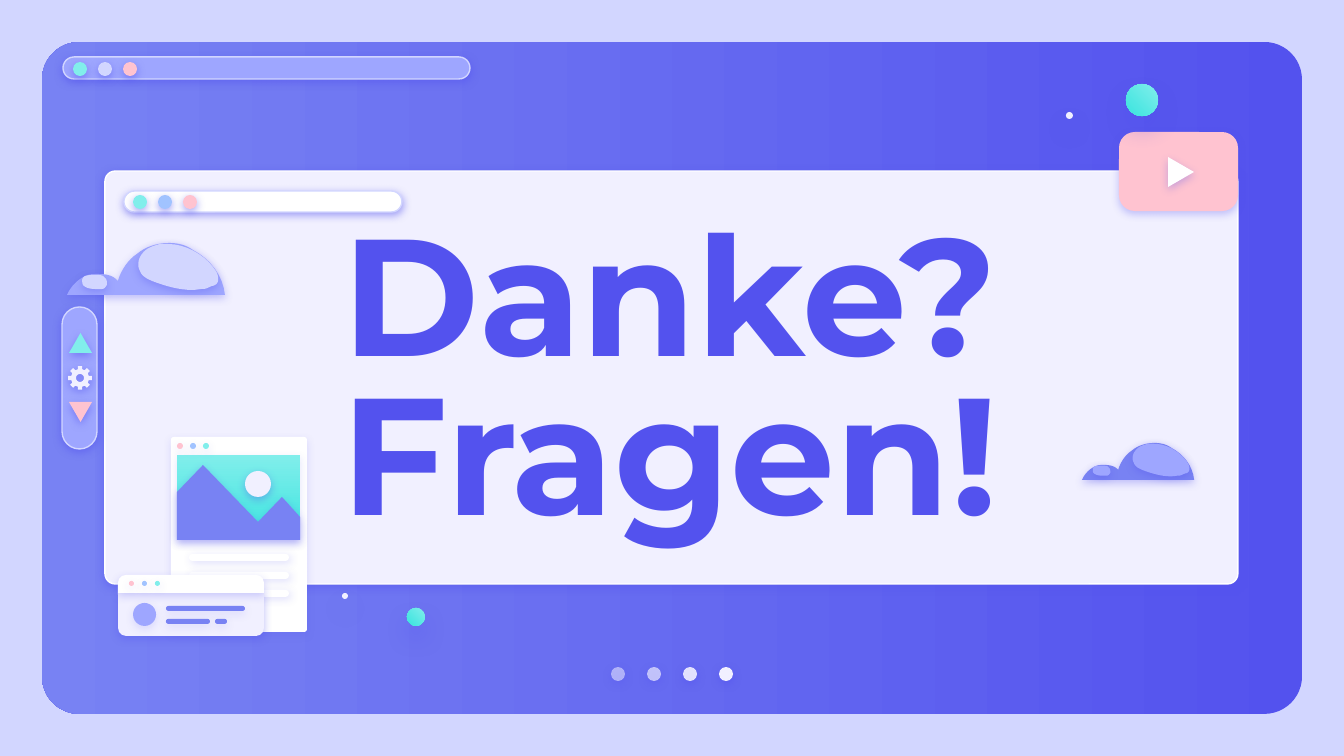
from math import cos, radians, sin

from lxml import etree
from pptx import Presentation
from pptx import util as u
from pptx.dml.color import RGBColor
from pptx.enum import shapes, text
from pptx.oxml.ns import qn

PX = u.Inches(10) / 1344
INDIGO = RGBColor(0x53, 0x52, 0xEE)
VIOLET = RGBColor(0x78, 0x82, 0xF3)
LAVENDER = RGBColor(0x9E, 0xA6, 0xFF)
MIST = RGBColor(0xD2, 0xD6, 0xFF)
PALE = RGBColor(0xF1, 0xF0, 0xFF)
WHITE = RGBColor(0xFF, 0xFF, 0xFF)
MINT = RGBColor(0x81, 0xEE, 0xEB)
TEAL = RGBColor(0x3A, 0xE4, 0xDF)
PINK = RGBColor(0xFF, 0xC3, 0xD0)
SKY = RGBColor(0xA1, 0xC3, 0xFF)

ROUND = shapes.MSO_SHAPE.ROUNDED_RECTANGLE
TOP_ROUND = shapes.MSO_SHAPE.ROUND_2_SAME_RECTANGLE
RECT = shapes.MSO_SHAPE.RECTANGLE
OVAL = shapes.MSO_SHAPE.OVAL
TRIANGLE = shapes.MSO_SHAPE.ISOSCELES_TRIANGLE

prs = Presentation()
prs.slide_width, prs.slide_height = round(1344 * PX), round(756 * PX)
slide = prs.slides.add_slide(prs.slide_layouts[6])
slide.background.fill.solid()
slide.background.fill.fore_color.rgb = MIST


def finish(shape, fill, shade=50, line=None, opacity=100, blur=4.5, drop=1.5, aim=90):
    """Fill is one colour, or (start, end, counterclockwise angle)."""
    if isinstance(fill, RGBColor):
        shape.fill.solid()
        shape.fill.fore_color.rgb = fill
    else:
        shape.fill.gradient()
        shape.fill.gradient_angle = fill[2]
        for stop, colour in zip(shape.fill.gradient_stops, fill):
            stop.color.rgb = colour
    properties = shape._element.spPr
    if opacity < 100:
        colour = properties.find(qn("a:solidFill")).find(qn("a:srgbClr"))
        etree.SubElement(colour, qn("a:alpha"), val=str(opacity * 1000))
    if line is None:
        shape.line.fill.background()
    else:
        shape.line.color.rgb = line
        shape.line.width = u.Pt(0.75)
    shape.shadow.inherit = False
    if shade:
        shadow = etree.SubElement(
            properties.find(qn("a:effectLst")), qn("a:outerShdw"),
            blurRad=str(u.Pt(blur)), dist=str(u.Pt(drop)),
            dir=str(aim * 60000), algn="bl", rotWithShape="0")
        colour = etree.SubElement(shadow, qn("a:srgbClr"), val=str(INDIGO))
        etree.SubElement(colour, qn("a:alpha"), val=str(shade * 1000))


def place(kind, left, top, width, height, fill, corner=None, turn=0, **look):
    shape = slide.shapes.add_shape(
        kind, *(round(v * PX) for v in (left, top, width, height)))
    if corner is not None:
        shape.adjustments[0] = corner
    shape.rotation = turn
    finish(shape, fill, **look)


# Backdrop, address bar and main window
place(ROUND, 42, 42, 1260, 672, (INDIGO, VIOLET, 180), corner=0.056, shade=0)
place(ROUND, 63, 57, 407, 22, LAVENDER, corner=0.5, line=MIST)
place(ROUND, 105, 171, 1133, 413, PALE, corner=0.025, line=WHITE)

# Page indicator
for page, opacity in enumerate((54, 67, 90, 100)):
    place(OVAL, 611 + 36 * page, 667, 14, 14, PALE, opacity=opacity)

# Title
title = slide.shapes.add_textbox(*(round(v * PX) for v in (220, 202, 900, 372)))
frame_format = {"word_wrap": True, "vertical_anchor": text.MSO_ANCHOR.MIDDLE}
frame_format.update({f"margin_{side}": u.Inches(0.1)
                     for side in ("left", "right", "top", "bottom")})
for name, value in frame_format.items():
    setattr(title.text_frame, name, value)
heading = title.text_frame.paragraphs[0]
heading.text = "Danke?\vFragen!"
heading.alignment = text.PP_ALIGN.CENTER
heading.line_spacing = 0.8
for run in heading.runs:
    for name, value in {"name": "Montserrat", "size": u.Pt(89), "bold": True}.items():
        setattr(run.font, name, value)
    run.font.color.rgb = INDIGO

# Clouds: each outline is a start point, then three Bezier points per curve
cloud_body = [
    (102, 0), (90, 0), (78, 4), (70, 11), (62, 16), (54, 27), (51, 38),
    (46, 32), (38, 31), (31, 31), (28, 31), (24, 31), (21, 32),
    (12, 35), (4, 43), (0, 52), (0, 52), (158, 52), (158, 52),
    (156, 32), (143, 16), (126, 7), (119, 2), (111, 0), (102, 0)]
cloud_shine = [
    (101, 1), (98, 1), (95, 1), (93, 1), (86, 3), (79, 5), (75, 11),
    (71, 16), (70, 23), (73, 28), (75, 34), (81, 36), (85, 38),
    (98, 43), (112, 47), (125, 47), (129, 47), (133, 46), (136, 46),
    (140, 46), (142, 44), (145, 43), (148, 43), (151, 40), (151, 38),
    (152, 32), (149, 28), (146, 24), (136, 11), (118, 1), (101, 1)]
cloud_spot = [
    (28, 32), (24, 32), (17, 32), (16, 35), (15, 36), (15, 39), (16, 42),
    (17, 43), (20, 46), (28, 46), (31, 46), (33, 46), (35, 46),
    (38, 46), (39, 43), (40, 42), (40, 39), (40, 36), (38, 35),
    (36, 32), (34, 32), (28, 32)]
for left, top, size, base, shine in ((67, 243, 1, LAVENDER, MIST),
                                     (1082, 443, 0.71, VIOLET, LAVENDER)):
    for outline, colour in ((cloud_body, base), (cloud_shine, shine), (cloud_spot, shine)):
        points = []
        for i in range(0, len(outline) - 1, 3):
            for t in (step / 8 for step in range(9)):
                weights = ((1 - t) ** 3, 3 * t * (1 - t) ** 2, 3 * t * t * (1 - t), t ** 3)
                x, y = (sum(w * p[axis] for w, p in zip(weights, outline[i:i + 4]))
                        for axis in (0, 1))
                points.append(((left + size * x) * PX, (top + size * y) * PX))
        builder = slide.shapes.build_freeform(*points[0])
        builder.add_line_segments(points[1:])
        finish(builder.convert_to_shape(), colour, shade=31)

# Play button
place(ROUND, 1119, 132, 119, 79, PINK, corner=0.2, shade=31)
place(TRIANGLE, 1166, 159, 30, 26, WHITE, turn=90, shade=31)

# Floating dots
for left, top, size, colour in ((1126, 84, 32, (MINT, TEAL, 225)), (1066, 112, 7, PALE),
                                (407, 608, 18, (MINT, TEAL, 225)), (342, 593, 6, PALE)):
    place(OVAL, left, top, size, size, colour, shade=38, blur=12.4, drop=6.8)

# Picture page with text lines
place(ROUND, 171, 437, 136, 195, WHITE, corner=0.02, shade=14)
for line in range(3):
    place(ROUND, 189, 554 + 18 * line, 100, 7, WHITE, corner=0.5, shade=18, aim=39)
place(RECT, 177, 455, 123, 85, (MINT, TEAL, 270), shade=14)
ridge = [(203, 465), (177, 492), (177, 540), (300, 540), (300, 517), (282, 497), (258, 522)]
mountains = slide.shapes.build_freeform(*ridge[0], scale=PX)
mountains.add_line_segments(ridge[1:])
finish(mountains.convert_to_shape(), VIOLET, shade=34)
place(OVAL, 245, 471, 26, 26, PALE, shade=34)

# Message window
place(TOP_ROUND, 118, 593, 146, 43, PALE, corner=0.19, turn=180, shade=34)
place(TOP_ROUND, 118, 575, 146, 18, WHITE, corner=0.43, shade=24)
place(OVAL, 133, 603, 23, 23, LAVENDER, shade=14)
for left, top, width in ((166, 606, 79), (166, 619, 44), (215, 619, 12)):
    place(ROUND, left, top, width, 5, VIOLET, corner=0.5, shade=14)

# Title bar of the main window
place(ROUND, 124, 191, 278, 21, WHITE, corner=0.5, line=MIST)

# Three buttons on every window
for left, top, size, step, shade, colours in (
        (73, 62, 14, 25, 50, (MINT, MIST, PINK)),
        (133, 195, 14, 25, 50, (MINT, SKY, PINK)),
        (177, 443, 6, 13, 14, (PINK, SKY, MINT)),
        (129, 581, 5, 13, 14, (PINK, SKY, MINT))):
    for i, colour in enumerate(colours):
        place(OVAL, left + i * step, top, size, size, colour, shade=shade)

# Side rail with arrows and gear
place(ROUND, 62, 307, 35, 142, LAVENDER, corner=0.5, line=MIST)
place(TRIANGLE, 69, 333, 23, 20, MINT)
place(TRIANGLE, 69, 402, 23, 20, PINK, turn=180)
teeth = [(radius, 45 * tooth + offset) for tooth in range(8)
         for radius, offset in ((9, -14), (12, -10), (12, 10), (9, 14))]
hole = [(4, -angle) for angle in range(0, 360, 15)]
rim, bore = ([(80 + r * cos(radians(a)), 378 + r * sin(radians(a))) for r, a in ring]
             for ring in (teeth, hole))
gear = slide.shapes.build_freeform(*(v * PX for v in rim[0]))
gear.add_line_segments([(x * PX, y * PX) for x, y in rim[1:]])
gear.move_to(*(v * PX for v in bore[0]))
gear.add_line_segments([(x * PX, y * PX) for x, y in bore[1:]])
finish(gear.convert_to_shape(), PALE, shade=52)

prs.save("out.pptx")
